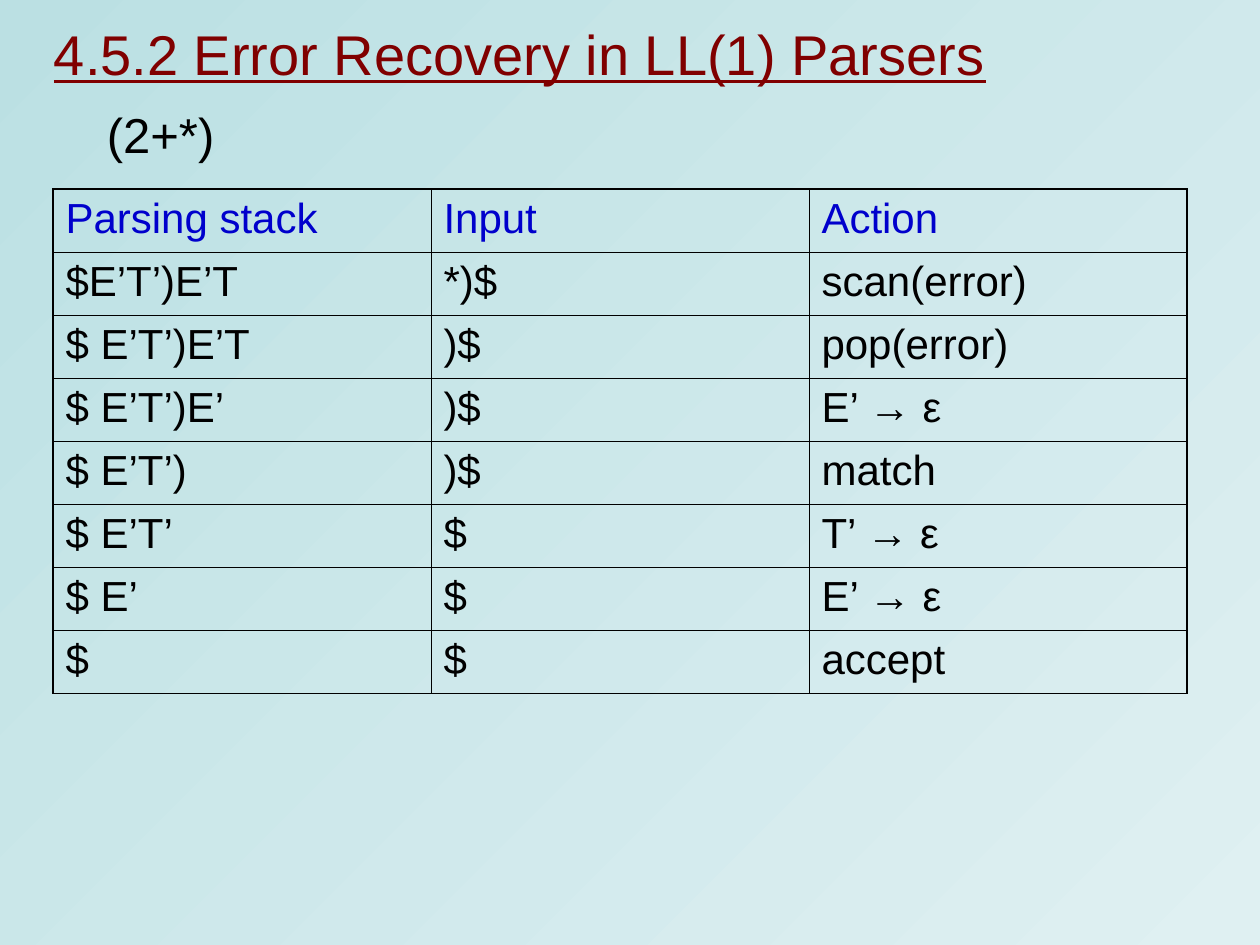
"""Build the slide on error recovery in LL(1) parsers with its parsing trace."""
from dataclasses import dataclass

from lxml import etree
from pptx import Presentation
from pptx import util as u
from pptx.dml.color import RGBColor
from pptx.enum import text
from pptx.oxml.ns import qn


@dataclass(frozen=True)
class Theme:
    font: str = "Arial"
    title: str = "800000"
    header: str = "0000CC"
    ink: str = "000000"
    backdrop: tuple = ("BBE0E3", "DFF0F2")
    title_size: int = 32
    example_size: int = 28
    cell_size: int = 24
    outer_line: float = 1.08
    inner_line: float = 0.45


theme = Theme()


def write(frame, words, size, color):
    paragraph = frame.paragraphs[0]
    paragraph.text = words
    paragraph.font.name = theme.font
    paragraph.font.size = u.Pt(size)
    paragraph.font.color.rgb = RGBColor.from_string(color)
    return paragraph


def draw_borders(cell, outer_sides):
    properties = cell._tc.get_or_add_tcPr()
    for position, side in enumerate("LRTB"):
        width = theme.outer_line if side in outer_sides else theme.inner_line
        line = etree.Element(qn(f"a:ln{side}"), w=str(u.Pt(width)))
        fill = etree.SubElement(line, qn("a:solidFill"))
        etree.SubElement(fill, qn("a:srgbClr"), val=theme.ink)
        properties.insert(position, line)


trace_rows = [
    ("Parsing stack", "Input", "Action"),
    ("$E’T’)E’T", "*)$", "scan(error)"),
    ("$ E’T’)E’T", ")$", "pop(error)"),
    ("$ E’T’)E’", ")$", "E’ → ε"),
    ("$ E’T’)", ")$", "match"),
    ("$ E’T’", "$", "T’ → ε"),
    ("$ E’", "$", "E’ → ε"),
    ("$", "$", "accept"),
]
row_count, column_count = len(trace_rows), len(trace_rows[0])
column_width, row_height = u.Inches(3), u.Inches(0.5)

deck = Presentation()
deck.slide_width, deck.slide_height = u.Inches(10), u.Inches(7.5)
slide = deck.slides.add_slide(deck.slide_layouts[6])

backdrop = slide.background.fill
backdrop.gradient()
backdrop.gradient_angle = 315
for stop, color in zip(backdrop.gradient_stops, theme.backdrop):
    stop.color.rgb = RGBColor.from_string(color)

heading = slide.shapes.add_textbox(
    u.Inches(0.33), u.Inches(0.17), u.Inches(9.33), row_height
).text_frame
heading.word_wrap = True
heading.vertical_anchor = text.MSO_ANCHOR.MIDDLE
write(
    heading, "4.5.2 Error Recovery in LL(1) Parsers", theme.title_size, theme.title
).font.underline = True

trace = slide.shapes.add_table(
    row_count, column_count, u.Inches(0.42), u.Inches(1.5),
    column_width * column_count, row_height * row_count,
).table
trace.first_row = trace.horz_banding = False
for row, entries in enumerate(trace_rows):
    trace.rows[row].height = row_height
    for column, entry in enumerate(entries):
        cell = trace.cell(row, column)
        cell.fill.background()
        edges = {
            "L": column == 0,
            "R": column == column_count - 1,
            "T": row == 0,
            "B": row == row_count - 1,
        }
        draw_borders(cell, [side for side, is_outer in edges.items() if is_outer])
        write(cell.text_frame, entry, theme.cell_size, theme.ink if row else theme.header)

example = slide.shapes.add_textbox(
    u.Inches(0.75), u.Inches(0.78), u.Inches(1.05), u.Inches(0.57)
).text_frame
example.word_wrap = False
example.auto_size = text.MSO_AUTO_SIZE.SHAPE_TO_FIT_TEXT
write(example, "(2+*)", theme.example_size, theme.ink)

deck.save("out.pptx")
